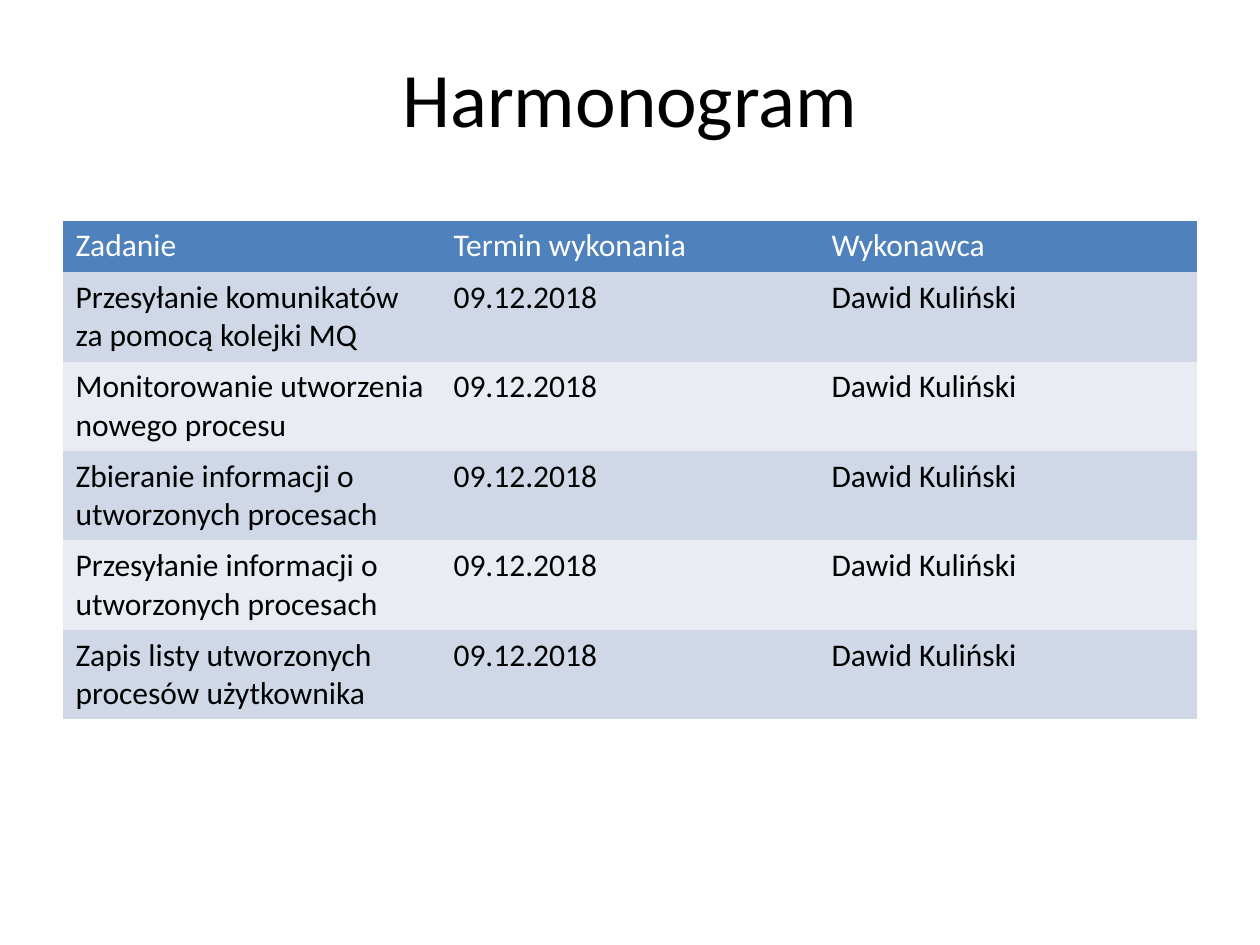
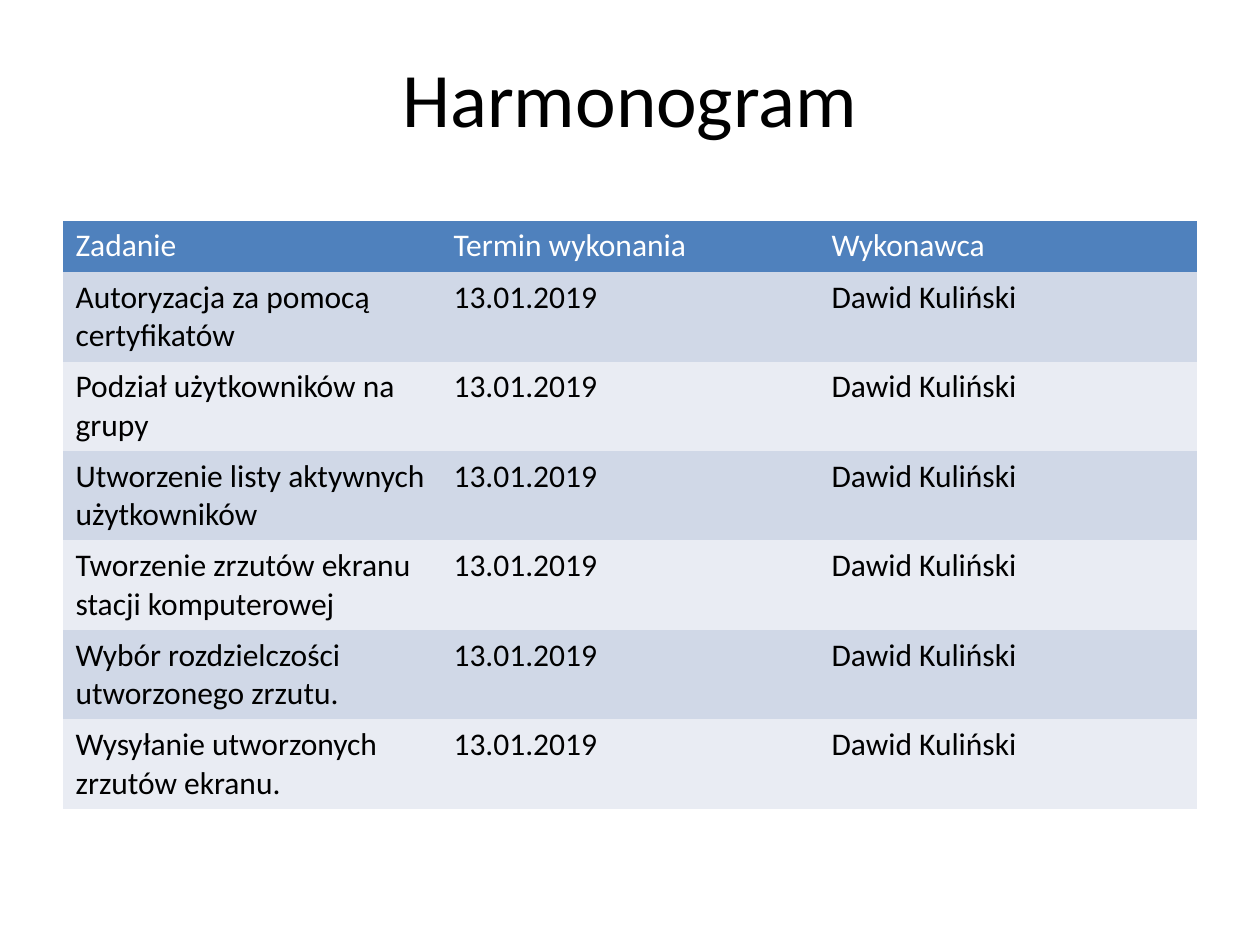
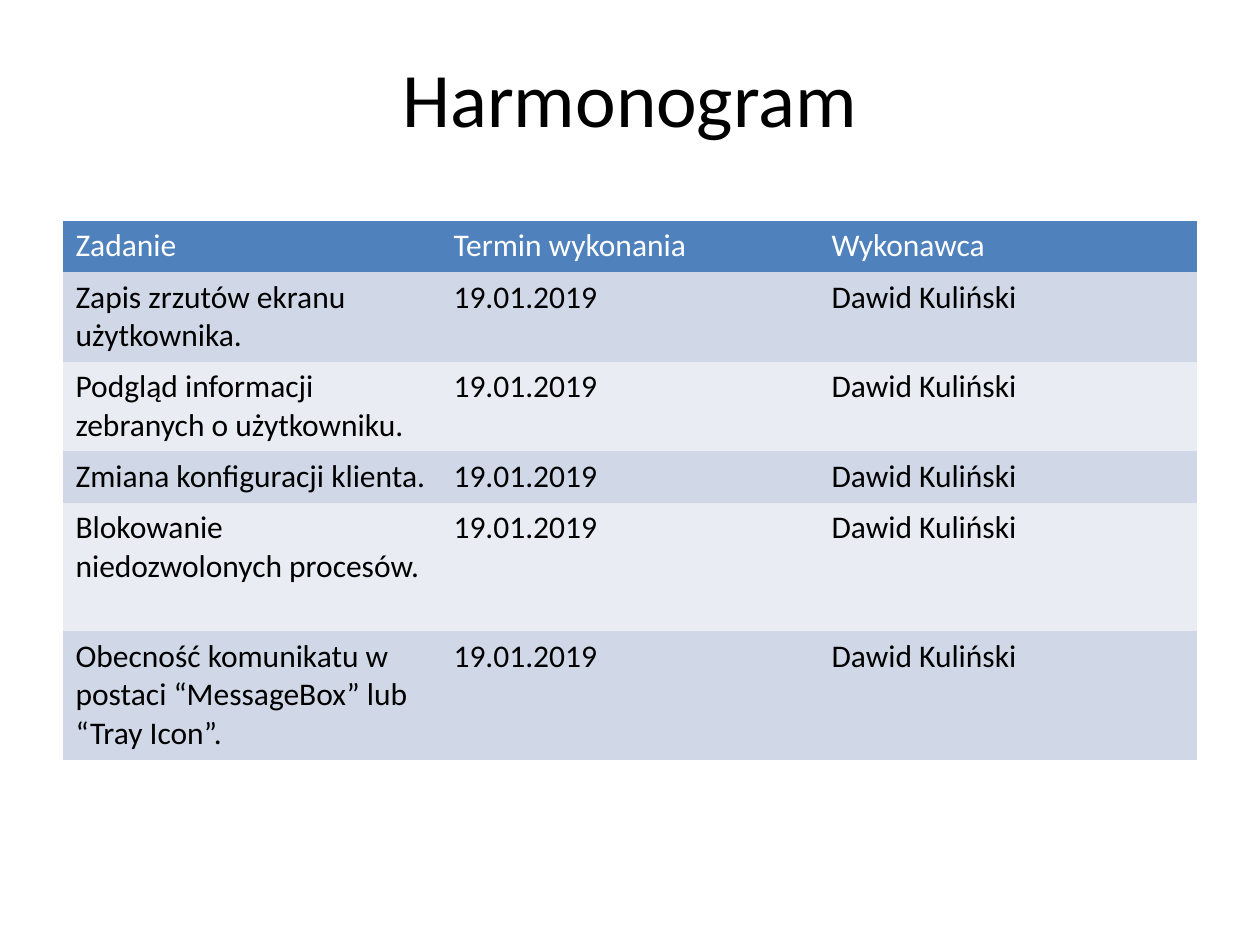
import pptx
import pptx.dml.color
import pptx.enum.text
import pptx.oxml.ns
import pptx.util

Inches = pptx.util.Inches
RGBColor = pptx.dml.color.RGBColor

BLACK = RGBColor(0x00, 0x00, 0x00)
WHITE = RGBColor(0xFF, 0xFF, 0xFF)
BLUE = RGBColor(0x4F, 0x81, 0xBD)
BANDS = (RGBColor(0xE9, 0xEC, 0xF3), RGBColor(0xD0, 0xD8, 0xE7))

NO_STYLE_NO_GRID = "{2D5ABB26-0587-4C30-8999-92F81FD0307C}"
LEFT, WIDTH = 0.5, 9
ROW_HEIGHTS = {1: 0.41, 2: 0.71, 3: 1.02}  # by number of text lines

TITLE = "Harmonogram"
HEADER = ("Zadanie", "Termin wykonania", "Wykonawca")
CONTRACTOR = "Dawid Kuliński"

# Each stage: deadline, then tasks with the number of lines their row holds
STAGES = [
    ("09.12.2018", [
        ("Przesyłanie komunikatów za pomocą kolejki MQ", 2),
        ("Monitorowanie utworzenia nowego procesu", 2),
        ("Zbieranie informacji o utworzonych procesach", 2),
        ("Przesyłanie informacji o utworzonych procesach", 2),
        ("Zapis listy utworzonych procesów użytkownika", 2),
    ]),
    ("13.01.2019", [
        ("Autoryzacja za pomocą certyfikatów", 2),
        ("Podział użytkowników na grupy", 2),
        ("Utworzenie listy aktywnych użytkowników", 2),
        ("Tworzenie zrzutów ekranu stacji komputerowej", 2),
        ("Wybór rozdzielczości utworzonego zrzutu.", 2),
        ("Wysyłanie utworzonych zrzutów ekranu.", 2),
    ]),
    ("19.01.2019", [
        ("Zapis zrzutów ekranu użytkownika.", 2),
        ("Podgląd informacji zebranych o użytkowniku.", 2),
        ("Zmiana konfiguracji klienta.", 1),
        ("Blokowanie niedozwolonych procesów.", 3),
        ("Obecność komunikatu w postaci “MessageBox” lub “Tray Icon”.", 3),
    ]),
]


class Deck:
    """Holds the presentation, its text style and the current slide."""

    def __init__(self):
        self.prs = pptx.Presentation()
        self.prs.slide_width = Inches(10)
        self.prs.slide_height = Inches(7.5)
        self.font = {"name": "Calibri", "bold": False}

    def add_slide(self):
        self.s = self.prs.slides.add_slide(self.prs.slide_layouts[6])

    def add_text(self, tf, text, size, color):
        p = tf.paragraphs[0]
        r = p.add_run()
        r.text = text
        for name, value in {**self.font, "size": pptx.util.Pt(size)}.items():
            setattr(r.font, name, value)
        r.font.color.rgb = color
        return p

    def title(self, text):
        sp = self.s.shapes.add_textbox(
            Inches(LEFT), Inches(0.3), Inches(WIDTH), Inches(1.25))
        tf = sp.text_frame
        frame = {
            "word_wrap": True,
            "margin_top": Inches(0.1),
            "vertical_anchor": pptx.enum.text.MSO_ANCHOR.TOP,
        }
        for name, value in frame.items():
            setattr(tf, name, value)
        p = self.add_text(tf, text, 44, BLACK)
        p.alignment = pptx.enum.text.PP_ALIGN.CENTER

    def table(self, rows, heights):
        """Draw a header row and banded body rows."""
        gf = self.s.shapes.add_table(
            len(rows), len(rows[0]), Inches(LEFT), Inches(1.75),
            Inches(WIDTH), Inches(sum(heights)))
        style = gf.element.find(".//" + pptx.oxml.ns.qn("a:tableStyleId"))
        style.text = NO_STYLE_NO_GRID
        for i, (row, height) in enumerate(zip(rows, heights)):
            gf.table.rows[i].height = Inches(height)
            fill, color = (BANDS[i % 2], BLACK) if i else (BLUE, WHITE)
            for j, text in enumerate(row):
                cell = gf.table.cell(i, j)
                cell.fill.solid()
                cell.fill.fore_color.rgb = fill
                self.add_text(cell.text_frame, text, 18, color)


def main():
    deck = Deck()
    for deadline, tasks in STAGES:
        deck.add_slide()
        deck.title(TITLE)
        rows = [HEADER] + [(task, deadline, CONTRACTOR) for task, _ in tasks]
        heights = [ROW_HEIGHTS[n] for n in [1] + [n for _, n in tasks]]
        deck.table(rows, heights)
    deck.prs.save("out.pptx")


if __name__ == "__main__":
    main()
